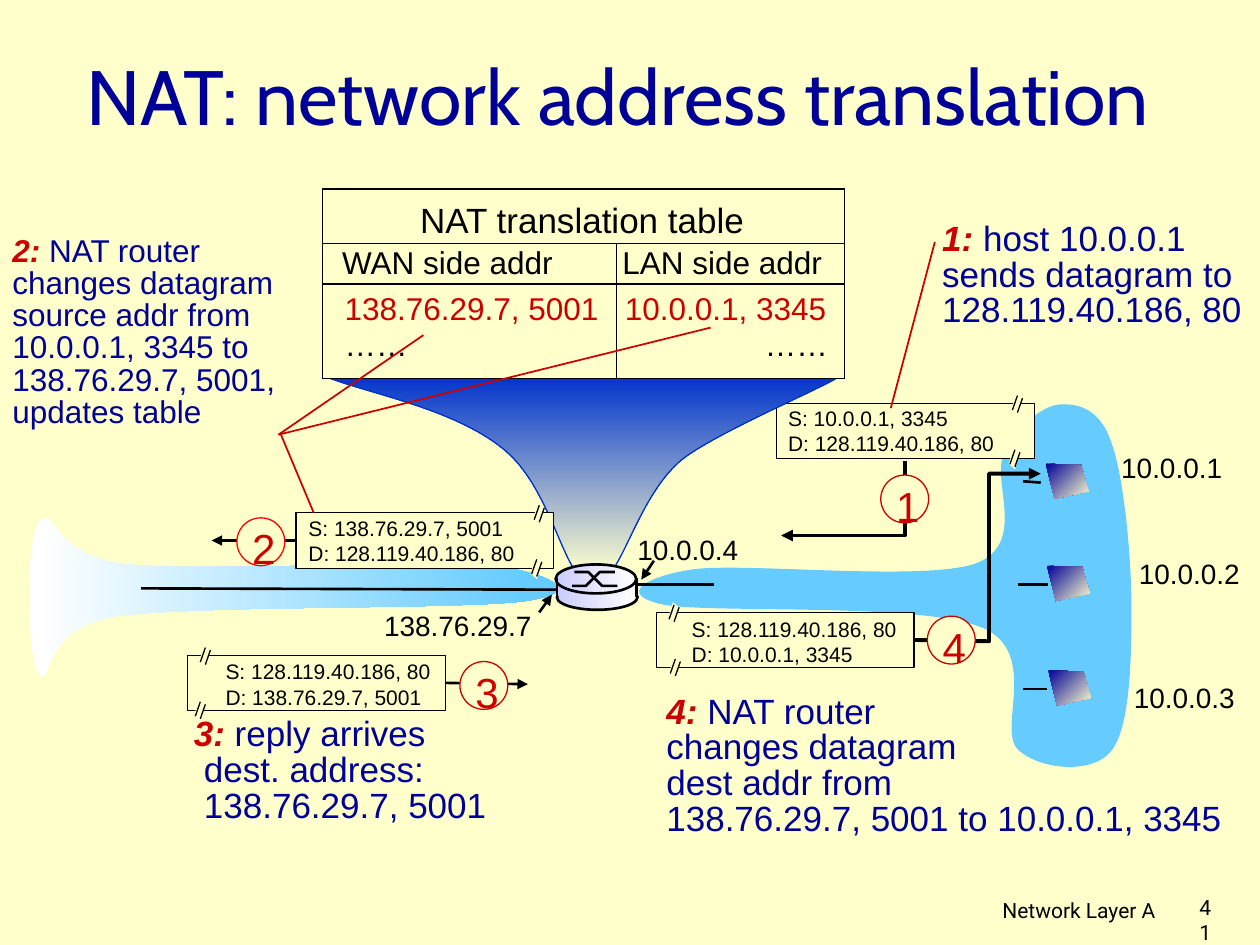
from lxml.etree import SubElement
from pptx import Presentation
from pptx.dml.color import RGBColor
from pptx.enum.shapes import MSO_CONNECTOR, MSO_SHAPE
from pptx.enum.text import MSO_ANCHOR, MSO_AUTO_SIZE, PP_ALIGN
from pptx.oxml.ns import qn
from pptx.util import Inches, Pt

CREAM = RGBColor(0xFF, 0xFF, 0xCC)
WHITE = RGBColor(0xFF, 0xFF, 0xFF)
BLACK = RGBColor(0x00, 0x00, 0x00)
NAVY = RGBColor(0x00, 0x00, 0x99)
RED = RGBColor(0xCC, 0x00, 0x00)
BRIGHT_RED = RGBColor(0xFF, 0x00, 0x00)
SKY = RGBColor(0x66, 0xCC, 0xFF)
ROYAL = RGBColor(0x00, 0x33, 0xCC)
LAVENDER = RGBColor(0xCC, 0xCC, 0xFF)
WIDTH, HEIGHT = Inches(10), Inches(7.5)
COLUMNS, ROWS = 100, 75


def grid(*values):
    return [round(value * (WIDTH / COLUMNS if index % 2 == 0 else HEIGHT / ROWS))
            for index, value in enumerate(values)]


def paint(shape, fill=None, line=None, width=0.75, angle=0):
    shape.shadow.inherit = False
    if fill is None:
        shape.fill.background()
    elif isinstance(fill, RGBColor):
        shape.fill.solid()
        shape.fill.fore_color.rgb = fill
    else:
        shape.fill.gradient()
        shape.fill.gradient_angle = angle
        for stop, color in zip(shape.fill.gradient_stops, fill):
            stop.color.rgb = color
    if line is None:
        shape.line.fill.background()
    else:
        shape.line.color.rgb = line
        shape.line.width = Pt(width)


def style(paragraph, size, color, font="Arial"):
    paragraph.font.size = Pt(size)
    paragraph.font.name = font
    paragraph.font.color.rgb = color


def add_arrowhead(shape, end):
    SubElement(shape._element.spPr.find(qn("a:ln")), qn(f"a:{end}"), type="triangle")


def add_line(slide, start, end, color=BLACK, width=1.5, arrow=False):
    line = slide.shapes.add_connector(MSO_CONNECTOR.STRAIGHT, *grid(*start, *end))
    line.line.color.rgb = color
    line.line.width = Pt(width)
    if arrow:
        add_arrowhead(line, "tailEnd")
    SubElement(line._element.spPr, qn("a:effectLst"))
    return line


def add_outline(slide, points, close=True, **look):
    vertices = [grid(*point) for point in points]
    builder = slide.shapes.build_freeform(*vertices[0], scale=1.0)
    builder.add_line_segments([vertex[-2:] for vertex in vertices[1:]], close=close)
    shape = builder.convert_to_shape()
    sides = list(shape._element.iter(qn("a:lnTo")))
    for side, vertex in zip(sides, vertices[1:]):
        if len(vertex) == 6:
            side.tag = qn("a:cubicBezTo")
            side.remove(side[0])
            for x, y in zip(vertex[::2], vertex[1::2]):
                SubElement(side, qn("a:pt"), x=str(x - shape.left), y=str(y - shape.top))
    paint(shape, **look)
    return shape


def add_shape(slide, kind, box, **look):
    shape = slide.shapes.add_shape(kind, *grid(*box))
    paint(shape, **look)
    return shape


def add_label(slide, box, text, size=16, font="Arial", alignment=PP_ALIGN.LEFT):
    frame = slide.shapes.add_textbox(*grid(*box)).text_frame
    frame.word_wrap = True
    frame.text = text
    frame.paragraphs[0].alignment = alignment
    style(frame.paragraphs[0], size, BLACK, font)


def add_note(slide, box, number, lines, size=20, hanging=0):
    frame = slide.shapes.add_textbox(*grid(*box)).text_frame
    frame.word_wrap = True
    for index, line in enumerate(lines):
        paragraph = frame.paragraphs[0] if index == 0 else frame.add_paragraph()
        paragraph.line_spacing = 0.85
        style(paragraph, size, NAVY)
        if index == 0:
            lead = paragraph.add_run()
            lead.text = f"{number}: "
            lead.font.bold = lead.font.italic = True
            lead.font.color.rgb = RED
        elif hanging:
            paragraph._p.get_or_add_pPr().set("marL", str(Inches(hanging)))
        paragraph.add_run().text = line


def add_break_mark(slide, left, top):
    edge = [(0.4, 0), (0, 1.3), (0.5, 1.75), (0.9, 0.4)]
    add_outline(slide, [(left + x, top + y) for x, y in edge], fill=CREAM)
    for x, y in [(0.5, 0.2), (0.9, 0.4)]:
        add_line(slide, (left + x, top + y), (left + x - 0.4, top + y + 1.15), width=0.75)


def add_packet(slide, left, top, source, destination, inset, breaks):
    packet = add_shape(slide, MSO_SHAPE.RECTANGLE, (left, top, 20.45, 4.4), fill=CREAM, line=BLACK)
    frame = packet.text_frame
    frame.margin_left, frame.margin_top = grid(*inset)
    frame.margin_right = frame.margin_bottom = 0
    frame.vertical_anchor = MSO_ANCHOR.TOP
    frame.text = f"S: {source}\nD: {destination}"
    for paragraph in frame.paragraphs:
        paragraph.alignment = PP_ALIGN.LEFT
        style(paragraph, 12, BLACK)
    for offset, drop in zip(breaks, (-0.8, 3.5)):
        add_break_mark(slide, left + offset, top + drop)
    return packet


def add_badge(slide, left, top, number, color=RED):
    badge = add_shape(slide, MSO_SHAPE.OVAL, (left, top, 3.8, 3.8), fill=CREAM, line=color)
    frame = badge.text_frame
    frame.word_wrap = False
    frame.margin_left, frame.margin_top = grid(0.5, 1)
    frame.margin_right = frame.margin_bottom = 0
    frame.vertical_anchor = MSO_ANCHOR.MIDDLE
    frame.text = str(number)
    frame.paragraphs[0].alignment = PP_ALIGN.CENTER
    style(frame.paragraphs[0], 24, RED)


def add_elbow(slide, points):
    add_arrowhead(add_outline(slide, points, close=False, line=BLACK, width=2.25), "headEnd")


def fill_cell(cell, lines, size, colors, alignments, margins):
    properties = cell._tc.get_or_add_tcPr()
    for side in ("lnL", "lnR", "lnT", "lnB"):
        border = SubElement(properties, qn(f"a:{side}"), w=str(Pt(0.75)))
        SubElement(SubElement(border, qn("a:solidFill")), qn("a:srgbClr"), val=str(BLACK))
    cell.fill.solid()
    cell.fill.fore_color.rgb = CREAM
    cell.margin_left, cell.margin_top, cell.margin_right, cell.margin_bottom = grid(*margins)
    cell.text = "\n".join(lines)
    for paragraph, color, alignment in zip(cell.text_frame.paragraphs, colors, alignments):
        paragraph.alignment = alignment
        style(paragraph, size, color)


def add_translation_table(slide):
    table = slide.shapes.add_table(3, 2, *grid(25.6, 15, 41.4, 14.8)).table
    table.first_row = table.horz_banding = False
    for column, width in zip(table.columns, (23.3, 18.1)):
        column.width = grid(width)[0]
    for row, height in zip(table.rows, (4.2, 3.1, 7.5)):
        row.height = grid(0, height)[1]
    table.cell(0, 0).merge(table.cell(0, 1))
    left, right = PP_ALIGN.LEFT, PP_ALIGN.RIGHT
    fill_cell(table.cell(0, 0), ["NAT translation table"], 20, [BLACK], [PP_ALIGN.CENTER], (0, 1, 0.2, 0))
    fill_cell(table.cell(1, 0), ["WAN side addr"], 18, [BLACK], [left], (1.55, 0.2, 0, 0))
    fill_cell(table.cell(1, 1), ["LAN side addr"], 18, [BLACK], [left], (0.5, 0.2, 0, 0))
    fill_cell(table.cell(2, 0), ["138.76.29.7, 5001", "……"], 18, [RED, BLACK], [left, left], (1.75, 0.65, 0, 0))
    fill_cell(table.cell(2, 1), ["10.0.0.1, 3345", "……"], 18, [RED, BLACK], [left, right], (0.7, 0.65, 1.3, 0))


def add_router(slide):
    metal = (LAVENDER, WHITE)
    add_shape(slide, MSO_SHAPE.OVAL, (44.2, 46.4, 6.4, 2), fill=metal, line=BLACK, width=1.5)
    add_shape(slide, MSO_SHAPE.RECTANGLE, (44.2, 46.1, 6.4, 1.2), fill=metal)
    add_shape(slide, MSO_SHAPE.OVAL, (44.1, 44.8, 6.4, 2.3), fill=metal, line=BLACK, width=1.5)
    for start, near, far in [(45.4, 46.5, 45.4), (45.6, 45.4, 46.5)]:
        points = [(start, near), (start + 1.1, near), (start + 2.2, far), (start + 3.4, far)]
        add_outline(slide, points, close=False, line=BLACK, width=1.5)
    for x in (44.2, 50.5):
        add_line(slide, (x, 45.9), (x, 47.4))


def add_networks(slide):
    add_outline(slide, [
        (39.2, 44.9), (33.9, 44.4, 16.2, 45.4, 10.2, 44.8), (4.2, 44.3, 4.3, 39.9, 3.1, 41.4),
        (2, 42.8, 2.1, 52.2, 3.1, 53.5), (4.2, 54.8, 2.9, 49.9, 9.3, 48.9),
        (15.8, 48, 36.8, 48.4, 41.7, 47.7), (46.7, 47, 43.6, 45.5, 39.2, 44.9)],
        fill=(WHITE, SKY))
    add_outline(slide, [
        (54.9, 45.2), (59.1, 44.6, 73.4, 46.2, 77.5, 44.7), (81.6, 43.1, 78.6, 38.1, 79.7, 36),
        (80.7, 33.9, 82.7, 32.2, 84.1, 32.1), (85.5, 32, 87.3, 32.4, 88.2, 35.1),
        (89.2, 37.8, 89.8, 44.2, 89.8, 48.3), (89.8, 52.4, 89.7, 57.7, 88.2, 59.6),
        (86.7, 61.5, 82.5, 61.1, 80.8, 59.5), (79.1, 57.9, 82.6, 51.7, 77.9, 49.8),
        (73.2, 47.8, 56.5, 48.7, 52.7, 48), (48.9, 47.2, 51.1, 45.8, 54.9, 45.2)], fill=SKY)


def add_funnel(slide):
    add_outline(slide, [
        (25.6, 29.8), (25.6, 29.8, 61.7, 28.7, 66.5, 29.8), (67.9, 29.7, 57.1, 34.1, 54.1, 36.5),
        (51.1, 39, 49.7, 44.1, 48.4, 45.5), (45.8, 45.5), (44.4, 43.8, 43.2, 38.2, 39.9, 35.6),
        (35.8, 32.3, 28.9, 31.2, 25.6, 29.8)], fill=(ROYAL, CREAM), line=ROYAL, angle=270)


def add_title(slide):
    title = slide.shapes.title
    title.left, title.top, title.width, title.height = grid(5.85, 2.55, 88.5, 9.9)
    frame = title.text_frame
    frame.text = "NAT: network address translation"
    frame.auto_size = MSO_AUTO_SIZE.NONE
    frame.vertical_anchor = MSO_ANCHOR.MIDDLE
    frame.paragraphs[0].alignment = PP_ALIGN.LEFT
    style(frame.paragraphs[0], 44, NAVY, "Cabin")


def main():
    presentation = Presentation()
    presentation.slide_width, presentation.slide_height = WIDTH, HEIGHT
    slide = presentation.slides.add_slide(presentation.slide_layouts[5])
    slide.background.fill.solid()
    slide.background.fill.fore_color.rgb = CREAM
    add_title(slide)
    add_label(slide, (94.2, 70.5, 2.9, 3), "41", 12, "Roboto")
    add_label(slide, (61, 70.7, 31.7, 3.1), "Network Layer A", 12, "Roboto", PP_ALIGN.RIGHT)
    add_networks(slide)
    for start, end in [((50.1, 46.4), (56.7, 46.4)), ((81.2, 38.2), (82.6, 38.3)),
                       ((80.8, 46.4), (83.2, 46.4)), ((81.2, 54.7), (83.1, 54.7))]:
        add_line(slide, start, end)
    add_packet(slide, 61.65, 32, "10.0.0.1, 3345", "128.119.40.186, 80", (0.9, 0.2), (18.6, 18.4))
    add_elbow(slide, [(62, 42.5), (71.8, 42.5), (71.8, 36.6)])
    add_badge(slide, 69.9, 37.7, 1)
    for left, top, width, address in [(88, 35.3, 10.5, "10.0.0.1"), (89.4, 43.7, 10.5, "10.0.0.2"),
                                      (89, 53.5, 10.5, "10.0.0.3"), (49.6, 41.8, 10.5, "10.0.0.4"),
                                      (29.5, 47.8, 14, "138.76.29.7")]:
        add_label(slide, (left, top, width, 3.7), address)
    add_line(slide, (51.9, 44.5), (50.9, 46), arrow=True)
    add_line(slide, (42.8, 48.6), (43.8, 47.2), arrow=True)
    add_note(slide, (73.8, 17.2, 26, 9.6), 1, ["host 10.0.0.1", "sends datagram to", "128.119.40.186, 80"])
    add_line(slide, (74.2, 19.2), (70.7, 32.4), RED, 1)
    add_funnel(slide)
    add_translation_table(slide)
    add_packet(slide, 52.1, 48.6, "128.119.40.186, 80", "10.0.0.1, 3345", (2.8, 0.3), (0.9, 1))
    add_elbow(slide, [(82.6, 37.6), (78.5, 37.6), (78.5, 50.9), (72.6, 50.8)])
    add_badge(slide, 73.6, 48.9, 4)
    outgoing = add_packet(slide, 23.5, 40.7, "138.76.29.7, 5001", "128.119.40.186, 80", (1, 0.2), (18.8, 18.6))
    add_line(slide, (23.5, 42.9), (16.8, 42.9), arrow=True).begin_connect(outgoing, 1)
    add_badge(slide, 18.8, 41.1, 2, BRIGHT_RED)
    add_note(slide, (0, 18.3, 23.1, 16.5), 2,
             ["NAT router", "changes datagram", "source addr from", "10.0.0.1, 3345 to",
              "138.76.29.7, 5001,", "updates table"], 18)
    for start, end in [(22.3, (24.9, 40.7)), (22.1, (33.6, 26.6)), (22.1, (56.4, 26))]:
        add_line(slide, (start, 34.5), end, RED, 1)
    reply = add_packet(slide, 14.9, 52, "128.119.40.186, 80", "138.76.29.7, 5001", (3, 0.3), (0.9, 0.5))
    add_line(slide, (35.4, 54.2), (41.9, 54.3), arrow=True).begin_connect(reply, 3)
    add_badge(slide, 36.5, 52.5, 3)
    add_note(slide, (14.4, 56.5, 25.4, 9.6), 3,
             ["reply arrives", "dest. address:", "138.76.29.7, 5001"], hanging=0.08)
    add_note(slide, (51.9, 54.7, 47.1, 16.5), 4,
             ["NAT router", "changes datagram", "dest addr from", "138.76.29.7, 5001 to 10.0.0.1, 3345"])
    add_line(slide, (11.2, 46.7), (44.3, 46.8))
    add_router(slide)
    for left, top in [(83, 36.8), (83.1, 44.9), (83.2, 53.2)]:
        corners = [(0, 0), (2.8, 0.1), (3.4, 2.2), (0.7, 2.8)]
        add_outline(slide, [(left + x, top + y) for x, y in corners], fill=(NAVY, CREAM), angle=315)
    presentation.save("out.pptx")


if __name__ == "__main__":
    main()
